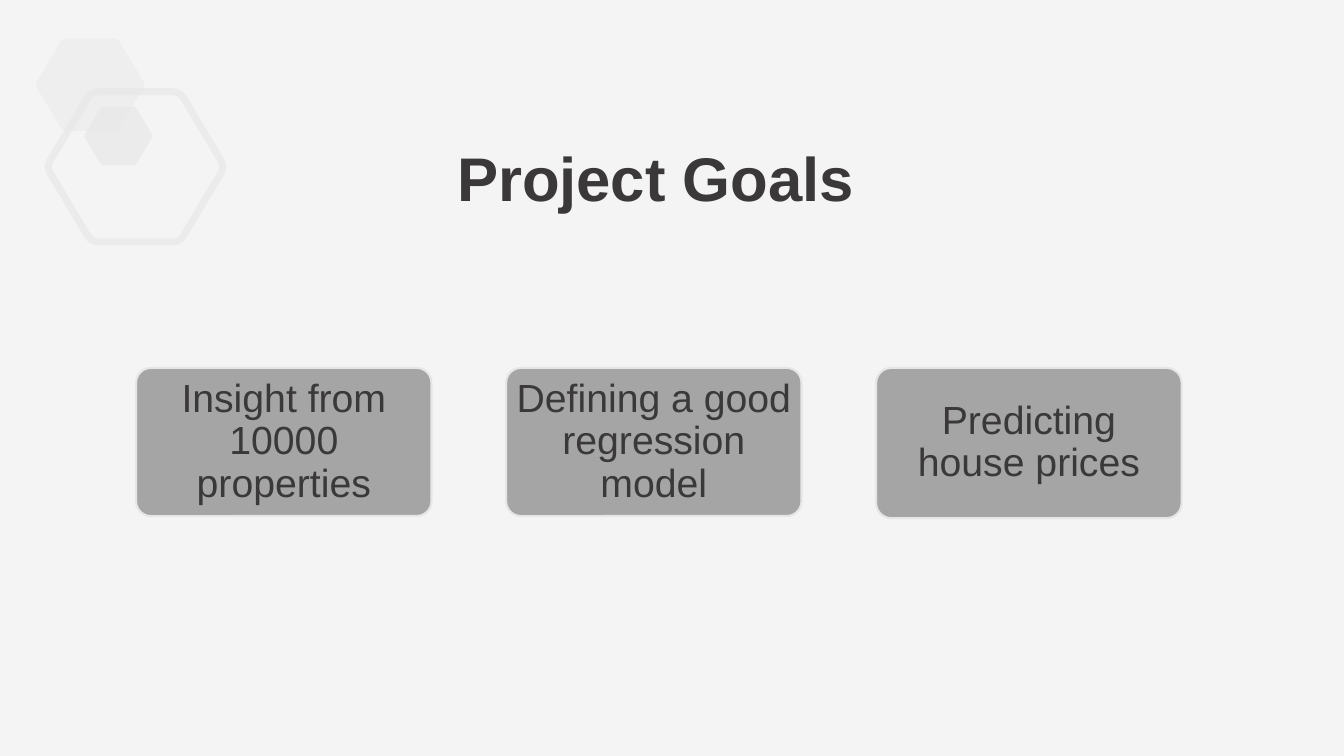
import pptx
import pptx.util
import pptx.dml.color
import pptx.enum.shapes
import pptx.enum.text
import lxml.etree

Inches = pptx.util.Inches
Pt = pptx.util.Pt
RGBColor = pptx.dml.color.RGBColor

PAPER = RGBColor(0xF4, 0xF4, 0xF4)
PALE = RGBColor(0xE7, 0xE6, 0xE6)
GRAY = RGBColor(0xA5, 0xA5, 0xA5)
DARK = RGBColor(0x3A, 0x38, 0x38)

deck = pptx.Presentation()
deck.slide_width = Inches(13.33)
deck.slide_height = Inches(7.5)
slide = deck.slides.add_slide(deck.slide_layouts[6])
slide.background.fill.solid()
slide.background.fill.fore_color.rgb = PAPER


def write(shape, text, style):
    frame = shape.text_frame
    frame.word_wrap = True
    frame.vertical_anchor = pptx.enum.text.MSO_ANCHOR.MIDDLE
    para = frame.paragraphs[0]
    para.alignment = pptx.enum.text.PP_ALIGN.CENTER
    para.line_spacing = 0.9
    run = para.add_run()
    run.text = text
    run.font.color.rgb = DARK
    for key, value in style.items():
        setattr(run.font, key, value)


def hexagon(left, top, width, height):
    # Each sharp corner becomes a short curve of five points
    fracs = [(-0.011, 0.5), (0.246, 0), (0.754, 0),
             (1.011, 0.5), (0.754, 1), (0.246, 1)]
    tips = [(left + fx * width, top + fy * height) for fx, fy in fracs]
    points = []
    for i, (x, y) in enumerate(tips):
        ends = []
        for px, py in (tips[i - 1], tips[(i + 1) % 6]):
            cut = 0.043 * width / ((px - x) ** 2 + (py - y) ** 2) ** 0.5
            ends.append((x + (px - x) * cut, y + (py - y) * cut))
        (ax, ay), (bx, by) = ends
        for t in (0, 0.25, 0.5, 0.75, 1):
            a, m, b = (1 - t) ** 2, 2 * t * (1 - t), t * t
            points.append((Inches(a * ax + m * x + b * bx),
                           Inches(a * ay + m * y + b * by)))
    path = slide.shapes.build_freeform(*points[0])
    path.add_line_segments(points[1:], close=True)
    shape = path.convert_to_shape()
    shape.shadow.inherit = False
    return shape


# Title
title = slide.shapes.add_textbox(Inches(1.18), Inches(0.76),
                                 Inches(10.65), Inches(2.08))
write(title, "Project Goals", {"name": "Arial", "size": Pt(44), "bold": True})

# Corner hexagons: place, opacity in percent, outline only
for place, alpha, hollow in [((0.36, 0.38, 1.07, 0.92), 40, False),
                             ((0.48, 0.91, 1.73, 1.49), 60, True),
                             ((0.84, 1.06, 0.67, 0.58), 60, False)]:
    shape = hexagon(*place)
    if hollow:
        shape.fill.background()
        shape.line.width = Pt(5)
        paint = shape.line.fill
    else:
        shape.line.fill.background()
        paint = shape.fill
    paint.solid()
    paint.fore_color.rgb = PALE
    for color in shape.element.spPr.iter(pptx.oxml.ns.qn("a:srgbClr")):
        lxml.etree.SubElement(color, pptx.oxml.ns.qn("a:alpha"),
                              val=str(alpha * 1000))

# Goal cards
goals = [("Insight from 10000 properties", 2.93, 1.47),
         ("Defining a good regression model", 2.93, 1.47),
         ("Predicting house prices", 3.03, 1.49)]
for i, (goal, width, height) in enumerate(goals):
    card = slide.shapes.add_shape(
        pptx.enum.shapes.MSO_SHAPE.ROUNDED_RECTANGLE,
        Inches(1.35 + i * 3.67), Inches(3.65), Inches(width), Inches(height))
    card.adjustments[0] = 0.1
    card.shadow.inherit = False
    card.fill.solid()
    card.fill.fore_color.rgb = GRAY
    card.line.color.rgb = PALE
    card.line.width = Pt(1.5)
    for side, inset in {"left": 0.05, "right": 0.05,
                        "top": 0.04, "bottom": 0.04}.items():
        setattr(card.text_frame, "margin_" + side, Inches(inset))
    write(card, goal, {"name": "Arial", "size": Pt(28)})

deck.save("out.pptx")
